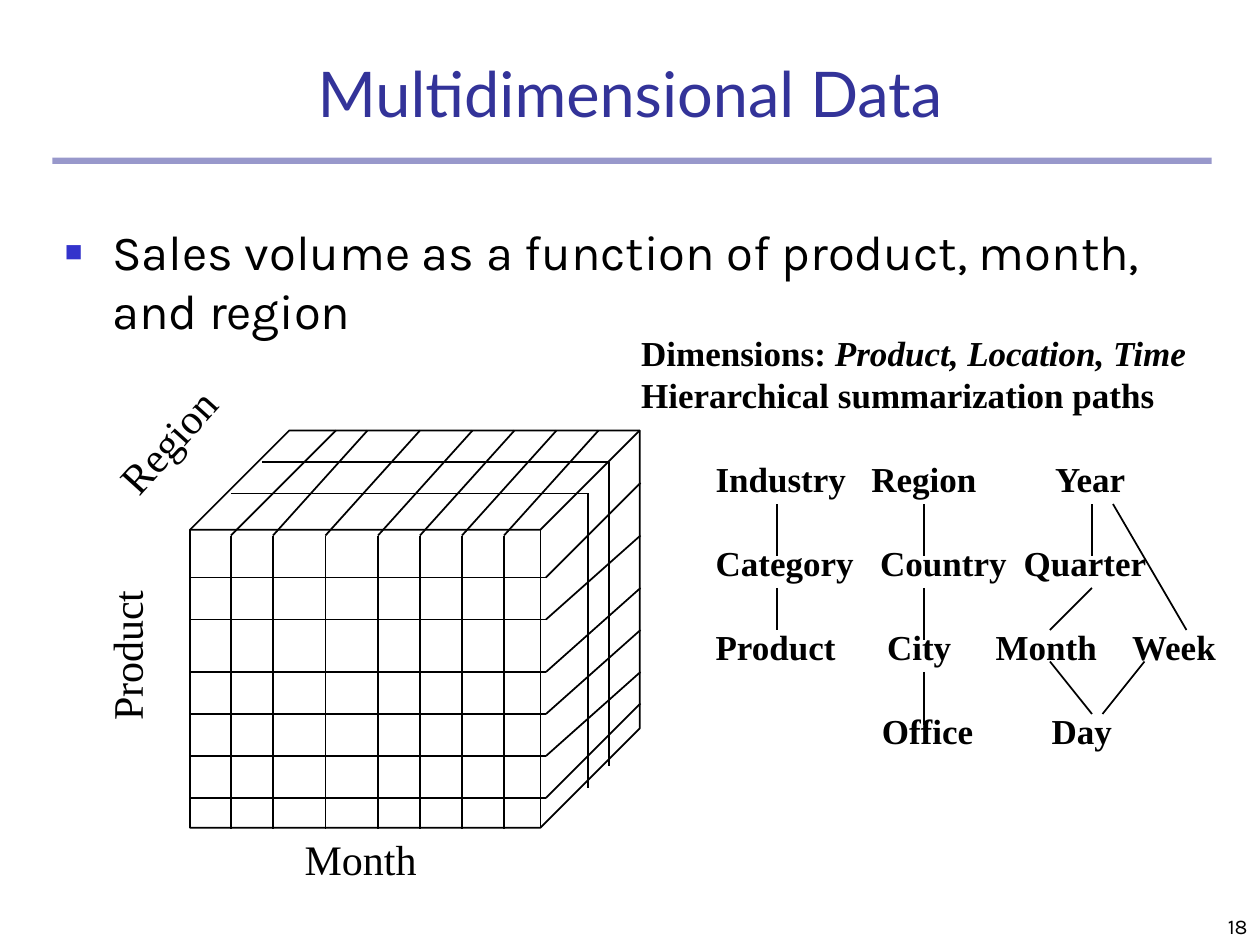
from lxml.etree import SubElement
from pptx import Presentation
from pptx.dml.color import RGBColor
from pptx.enum.shapes import MSO_CONNECTOR as Connector, MSO_SHAPE as Shape
from pptx.enum.text import MSO_ANCHOR as Anchor, PP_ALIGN as Align
from pptx.oxml.ns import qn
from pptx.util import Pt

# Content; all lengths in points
TITLE = "Multidimensional Data"
BULLET = "Sales volume as a function of product, month, and region"
SERIF = "Times New Roman"
AXES = [  # text, box, rotation
    ("Product", (27.4, 356.4, 89.3, 36), 270),
    ("Region", (54, 234, 83.5, 36), 312),
    ("Month", (167, 473, 78.5, 36), 0),
]
HEADING = [
    [("Dimensions: ", False), ("Product, Location, Time", True)],
    [("Hierarchical summarization paths", False)],
]
LEVELS = [  # first word, then (tab stop, word)
    ("Industry", [(89, "Region"), (194, "Year")]),
    ("Category", [(94, "Country"), (176, "Quarter")]),
    ("Product", [(98, "City"), (160, "Month"), (238, "Week")]),
    ("", [(95, "Office"), (192, "Day")]),
]

# Cube grid
FRONT_LEFT, FRONT_RIGHT, FRONT_TOP, FRONT_BOTTOM = 108, 312, 306, 474
BACK_TOP, BACK_RIGHT = 246, 366
ROWS = [(330, 276), (354, 306), (384, 336), (408, 360), (432, 384), (456, 402)]  # front y, back y
COLUMNS = [(132, 192), (156, 210), (186, 240), (216, 270),
           (240, 294), (264, 318), (288, 342)]  # front x, back x
SLICES = [(150, 348, 264, 438), (132, 336, 282, 450)]  # left, right, top, bottom

LINKS = [
    (444, 288, 444, 318), (444, 336, 444, 360),
    (528, 288, 528, 318), (528, 336, 528, 366), (528, 384, 528, 414),
    (624, 288, 624, 318), (624, 336, 600, 360), (636, 288, 678, 360),
    (600, 378, 624, 408), (654, 378, 630, 408),
]


def color(value):
    return RGBColor.from_string(value)


def set_font(paragraph, name, size, value="000000", bold=None):
    font = paragraph.font
    font.name, font.size, font.bold = name, Pt(size), bold
    font.color.rgb = color(value)


def add_text(slide, box, wrap=True):
    shape = slide.shapes.add_textbox(*map(Pt, box))
    shape.text_frame.word_wrap = wrap
    return shape


def add_line(slide, *points):
    line = slide.shapes.add_connector(Connector.STRAIGHT, *map(Pt, points))
    line.line.color.rgb = color("000000")
    line.line.width = Pt(1)
    SubElement(line._element.spPr, qn("a:effectLst"))


def add_bullet(paragraph, indent):
    properties = paragraph._p.get_or_add_pPr()
    properties.set("marL", str(Pt(indent)))
    properties.set("indent", str(-Pt(indent)))
    bullet_color = SubElement(properties, qn("a:buClr"))
    SubElement(bullet_color, qn("a:srgbClr"), val="3333CC")
    SubElement(properties, qn("a:buSzPct"), val="60000")
    SubElement(properties, qn("a:buFont"), typeface="Arial")
    SubElement(properties, qn("a:buChar"), char="■")


def add_tabs(paragraph, stops):
    tabs = SubElement(paragraph._p.get_or_add_pPr(), qn("a:tabLst"))
    for stop in stops:
        SubElement(tabs, qn("a:tab"), pos=str(Pt(stop)), algn="l")


presentation = Presentation()
presentation.slide_width, presentation.slide_height = Pt(720), Pt(540)
slide = presentation.slides.add_slide(presentation.slide_layouts[5])

# Title and rule
title = slide.shapes.title
title.left, title.top, title.width, title.height = map(Pt, (30, 24, 660, 54))
title.text_frame.text = TITLE
title.text_frame.vertical_anchor = Anchor.BOTTOM
paragraph = title.text_frame.paragraphs[0]
paragraph.alignment = Align.CENTER
set_font(paragraph, "Lato", 36, "333399")

rule = slide.shapes.add_shape(Shape.RECTANGLE, Pt(30), Pt(90), Pt(662.4), Pt(3.6))
rule.shadow.inherit = False
rule.line.fill.background()
rule.fill.solid()
rule.fill.fore_color.rgb = color("333399")
rule_color = rule._element.spPr.find(qn("a:solidFill")).find(qn("a:srgbClr"))
SubElement(rule_color, qn("a:alpha"), val="50000")

# Bullet and page number
paragraph = add_text(slide, (30, 123, 654, 360)).text_frame.paragraphs[0]
paragraph.text = BULLET
paragraph.space_before = Pt(7)
add_bullet(paragraph, 27)
set_font(paragraph, "Karla", 28)

number = add_text(slide, (570, 504, 150, 36)).text_frame
number.vertical_anchor = Anchor.BOTTOM
number.text = "18"
number.paragraphs[0].alignment = Align.RIGHT
set_font(number.paragraphs[0], "Karla", 12)

# Cube with its grid
cube = slide.shapes.add_shape(Shape.CUBE, Pt(108.6), Pt(BACK_TOP), Pt(257), Pt(227))
cube.adjustments[0] = 0.25
cube.shadow.inherit = False
cube.fill.background()
cube.line.color.rgb = color("000000")
cube.line.width = Pt(1)
for front, back in ROWS:
    add_line(slide, FRONT_LEFT, front, FRONT_RIGHT, front)
    add_line(slide, FRONT_RIGHT, front, BACK_RIGHT, back)
for front, back in COLUMNS:
    add_line(slide, front, FRONT_TOP, front, FRONT_BOTTOM)
    add_line(slide, front, FRONT_TOP, back, BACK_TOP)
for left, right, top, bottom in SLICES:
    add_line(slide, left, top, right, top)
    add_line(slide, right, top, right, bottom)

# Axis labels
for text, box, rotation in AXES:
    label = add_text(slide, box, wrap=False)
    label.rotation = rotation
    label.text_frame.text = text
    set_font(label.text_frame.paragraphs[0], SERIF, 24)

# Dimensions heading
frame = add_text(slide, (359.3, 186, 327, 55.4), wrap=False).text_frame
for index, runs in enumerate(HEADING):
    paragraph = frame.add_paragraph() if index else frame.paragraphs[0]
    set_font(paragraph, SERIF, 20, bold=True)
    for text, italic in runs:
        run = paragraph.add_run()
        run.text = text
        run.font.italic = italic

# Hierarchies: one paragraph a level, words on tab stops
frame = add_text(slide, (401.8, 258, 312, 175.7)).text_frame
for index, (first, others) in enumerate(LEVELS):
    paragraph = frame.add_paragraph() if index else frame.paragraphs[0]
    paragraph.text = "\t".join([first] + [word for _, word in others])
    paragraph.space_before = Pt(24 if index else 0)
    add_tabs(paragraph, [stop for stop, _ in others])
    set_font(paragraph, SERIF, 20, bold=True)
for link in LINKS:
    add_line(slide, *link)

presentation.save("out.pptx")
